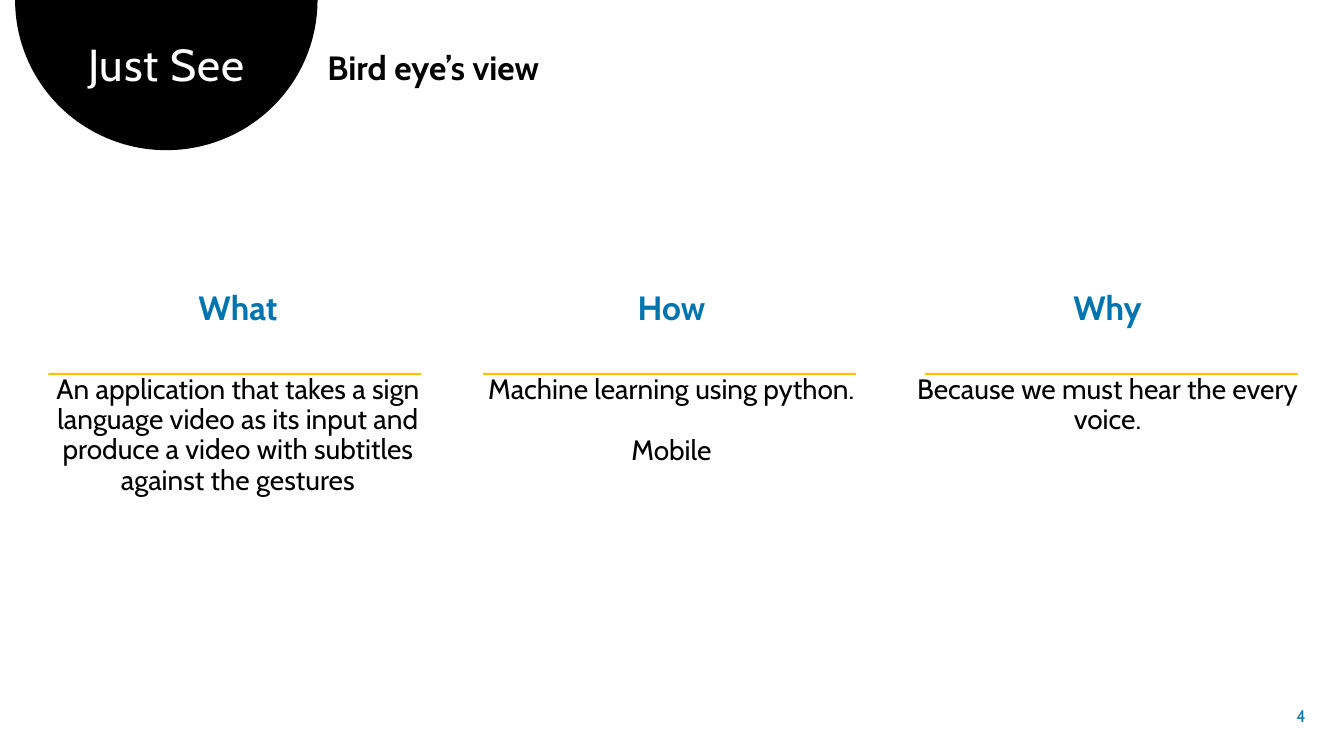
from dataclasses import dataclass
from math import cos, pi, sin

from pptx import Presentation
from pptx.dml.color import RGBColor
from pptx.enum.shapes import MSO_SHAPE
from pptx.enum.text import MSO_ANCHOR, MSO_AUTO_SIZE, PP_ALIGN
from pptx.shapes.autoshape import Shape
from pptx.slide import Slide
from pptx.text.text import TextFrame, _Paragraph, _Run
from pptx.util import Inches, Pt

COLORS = {
    "black": "000000",
    "white": "FFFFFF",
    "blue": "0074AF",
    "gold": "FFC000",
}
FONT = "Cabin"
COLUMN_TOP = 2.84
RULE_TOP, RULE_WIDTH, RULE_HEIGHT = 3.7, 3.7, 0.02
DISC_CENTER, DISC_RADIUS, DISC_HEIGHT = 1.65, 1.5, 1.49


@dataclass(frozen=True)
class Column:
    heading: str
    answers: tuple[str, ...]
    left: float
    width: float
    height: float
    rule_left: float


COLUMNS = (
    Column(
        "What",
        ("An application that takes a sign language video as its input "
         "and produce a video with subtitles against the gestures",),
        0.33, 4.06, 2.15, 0.48,
    ),
    Column("How", ("Machine learning using python.", "Mobile"),
           4.56, 4.2, 1.86, 4.79),
    Column("Why", ("Because we must hear the every voice.",),
           8.92, 4.13, 1.55, 9.17),
)


def rgb(color: str) -> RGBColor:
    return RGBColor.from_string(COLORS[color])


def paint(shape: Shape, color: str) -> None:
    shape.shadow.inherit = False
    shape.fill.solid()
    shape.fill.fore_color.rgb = rgb(color)
    shape.line.fill.background()


def prepare_frame(frame: TextFrame, anchor: MSO_ANCHOR = MSO_ANCHOR.TOP) -> None:
    frame.word_wrap = True
    frame.auto_size = MSO_AUTO_SIZE.NONE
    frame.vertical_anchor = anchor


def add_text_box(slide: Slide, left: float, top: float, width: float,
                 height: float, anchor: MSO_ANCHOR = MSO_ANCHOR.TOP) -> TextFrame:
    box = slide.shapes.add_textbox(
        Inches(left), Inches(top), Inches(width), Inches(height))
    prepare_frame(box.text_frame, anchor)
    return box.text_frame


def write(paragraph: _Paragraph, text: str, size: float, color: str,
          align: PP_ALIGN, bold: bool = False, before: float = 0,
          after: float = 0) -> _Run:
    paragraph.alignment = align
    paragraph.line_spacing = 0.9
    paragraph.space_before = Pt(before)
    paragraph.space_after = Pt(after)
    run = paragraph.add_run()
    run.text = text
    run.font.name = FONT
    run.font.size = Pt(size)
    run.font.bold = bold
    run.font.color.rgb = rgb(color)
    return run


def add_disc(slide: Slide) -> Shape:
    """Draw the half disc that hangs from the top edge of the slide."""
    steps = 90
    rim = [
        (Inches(DISC_CENTER + DISC_RADIUS * cos(pi * step / steps)),
         Inches(DISC_HEIGHT * sin(pi * step / steps)))
        for step in range(steps + 1)
    ]
    builder = slide.shapes.build_freeform(*rim[0])
    builder.add_line_segments(rim[1:], close=True)
    disc = builder.convert_to_shape()
    paint(disc, "black")
    return disc


def add_title(slide: Slide) -> None:
    title = slide.shapes.title
    title.left, title.top = Inches(0.35), Inches(0.37)
    title.width, title.height = Inches(2.6), Inches(0.59)
    prepare_frame(title.text_frame)
    run = write(title.text_frame.paragraphs[0], "Just See", 32, "white",
                PP_ALIGN.CENTER)
    run.font._element.set("spc", "60")


def add_column(slide: Slide, column: Column) -> None:
    frame = add_text_box(slide, column.left, COLUMN_TOP, column.width,
                         column.height)
    write(frame.paragraphs[0], column.heading, 24, "blue", PP_ALIGN.CENTER,
          bold=True, after=24)
    for answer in column.answers:
        write(frame.add_paragraph(), answer, 20, "black", PP_ALIGN.CENTER,
              before=10, after=12)
    rule = slide.shapes.add_shape(
        MSO_SHAPE.RECTANGLE, Inches(column.rule_left), Inches(RULE_TOP),
        Inches(RULE_WIDTH), Inches(RULE_HEIGHT))
    paint(rule, "gold")


def main() -> None:
    deck = Presentation()
    deck.slide_width, deck.slide_height = Inches(13.33), Inches(7.5)
    slide = deck.slides.add_slide(deck.slide_layouts.get_by_name("Title Only"))
    slide.background.fill.solid()
    slide.background.fill.fore_color.rgb = rgb("white")

    add_title(slide)
    disc = add_disc(slide)
    # The disc lies behind the title.
    slide.shapes.title.element.addprevious(disc.element)

    subtitle = add_text_box(slide, 3.15, 0.46, 9.93, 0.46)
    write(subtitle.paragraphs[0], "Bird eye’s view", 24, "black",
          PP_ALIGN.LEFT, bold=True)
    for column in COLUMNS:
        add_column(slide, column)

    page_number = add_text_box(slide, 12.5, 6.91, 0.55, 0.4, MSO_ANCHOR.MIDDLE)
    write(page_number.paragraphs[0], "4", 12, "blue", PP_ALIGN.RIGHT)
    deck.save("out.pptx")


if __name__ == "__main__":
    main()
